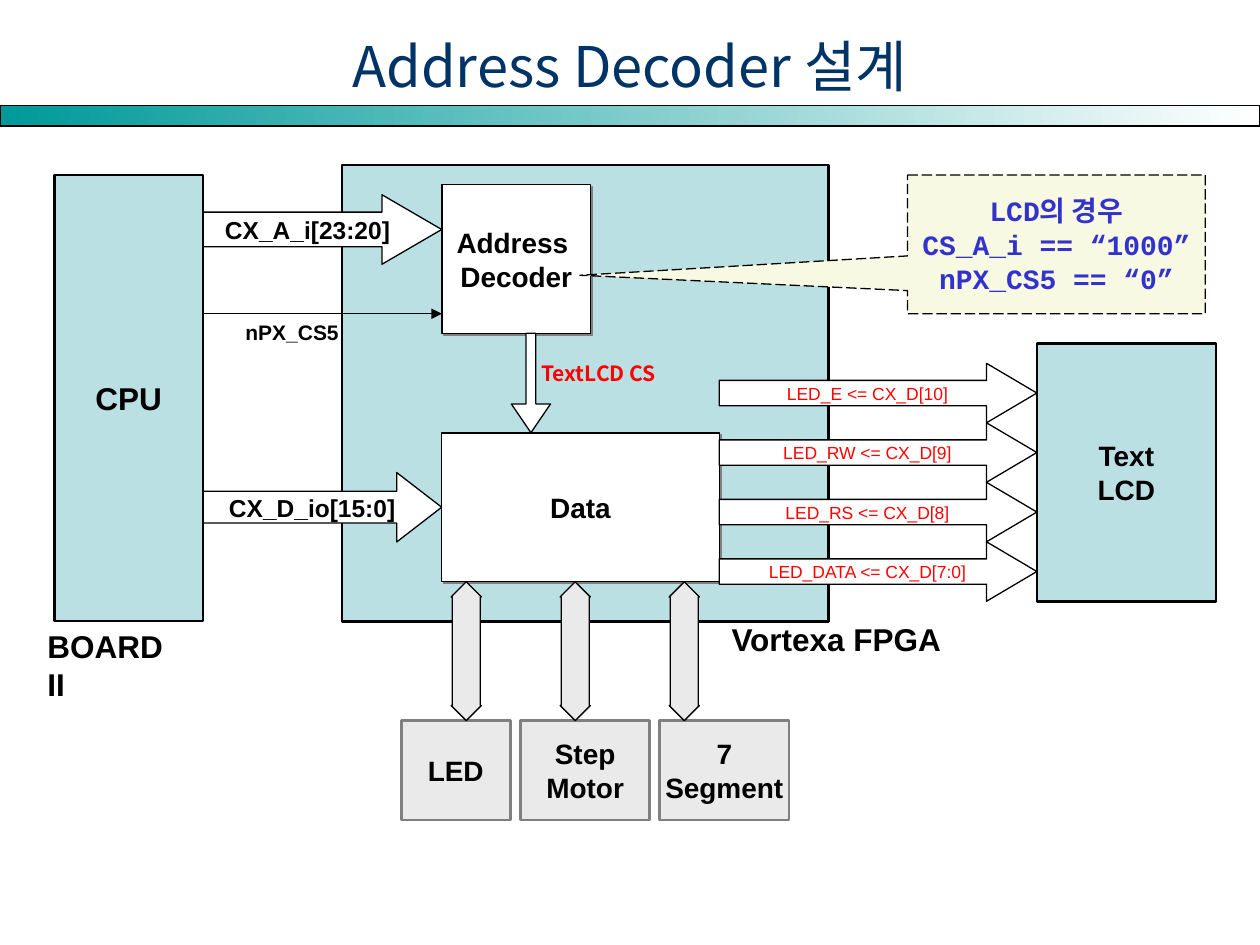
"""Build the address decoder block diagram slide."""
from lxml import etree
from pptx import Presentation
from pptx.dml.color import RGBColor
from pptx.enum.dml import MSO_LINE
from pptx.enum.shapes import MSO_CONNECTOR, MSO_SHAPE
from pptx.enum.text import MSO_ANCHOR, MSO_AUTO_SIZE, PP_ALIGN
from pptx.oxml import parse_xml
from pptx.oxml.ns import nsdecls, qn
from pptx.util import Pt

BLACK = RGBColor(0x00, 0x00, 0x00)
WHITE = RGBColor(0xFF, 0xFF, 0xFF)
TEAL = RGBColor(0x00, 0x99, 0x99)
NAVY = RGBColor(0x00, 0x33, 0x66)
PALE_BLUE = RGBColor(0xBB, 0xE0, 0xE3)
PALE_GRAY = RGBColor(0xEA, 0xEA, 0xEA)
GRAY = RGBColor(0x80, 0x80, 0x80)
CREAM = RGBColor(0xF7, 0xF9, 0xE3)
RED = RGBColor(0xFF, 0x00, 0x00)
INDIGO = RGBColor(0x33, 0x33, 0xCC)
KOREAN_FONT = "Noto Sans CJK KR"


def write_lines(shape, lines, size, color=BLACK, font="Arial", bold=True,
                align=PP_ALIGN.CENTER, wrap=False):
    frame = shape.text_frame
    frame.word_wrap = wrap
    for index, line in enumerate(lines):
        paragraph = frame.add_paragraph() if index else frame.paragraphs[0]
        paragraph.alignment = align
        run = paragraph.add_run()
        run.text = line
        run.font.size = Pt(size)
        run.font.name = font
        run.font.bold = bold
        run.font.color.rgb = color


def add_block(kind, box, fill, line=BLACK, weight=0.75, adjustments=()):
    shape = slide.shapes.add_shape(kind, *[Pt(value) for value in box])
    shape.shadow.inherit = False
    shape.fill.solid()
    shape.fill.fore_color.rgb = fill
    shape.line.color.rgb = line
    shape.line.width = Pt(weight)
    for index, value in enumerate(adjustments):
        shape.adjustments[index] = value
    shape.text_frame.vertical_anchor = MSO_ANCHOR.MIDDLE
    return shape


presentation = Presentation()
presentation.slide_width = Pt(720)
presentation.slide_height = Pt(540)
slide = presentation.slides.add_slide(presentation.slide_layouts[5])

title = slide.shapes.title
title.left, title.top, title.width, title.height = Pt(8.5), Pt(15), Pt(703), Pt(44)
title.text_frame.auto_size = MSO_AUTO_SIZE.NONE
title.text_frame.vertical_anchor = MSO_ANCHOR.MIDDLE
write_lines(title, ["Address Decoder 설계"], 32, NAVY, KOREAN_FONT, bold=False, wrap=True)

title_bar = add_block(MSO_SHAPE.RECTANGLE, (0, 60.5, 720, 11.5), TEAL)
title_bar.fill.gradient()
title_bar.fill.gradient_angle = 0
for stop, color in zip(title_bar.fill.gradient_stops, (TEAL, WHITE)):
    stop.color.rgb = color

for box, lines, size in (
    ((31, 100, 85, 255), ["CPU"], 18),
    ((195.5, 94.3, 278, 260.7), [], 18),
    ((592.5, 196.3, 102.3, 147.5), ["Text", "LCD"], 16),
):
    block = add_block(MSO_SHAPE.RECTANGLE, box, PALE_BLUE, weight=1.5)
    write_lines(block, lines, size)

for top, label, adjustments in (
    (270, "CX_D_io[15:0]", (0.457, 0.648)),
    (111.3, "CX_A_i[23:20]", (0.5, 0.859)),
):
    arrow = add_block(MSO_SHAPE.RIGHT_ARROW, (116.2, top, 136.2, 39.7), WHITE,
                      adjustments=adjustments)
    write_lines(arrow, [label], 14)

select_line = slide.shapes.add_connector(
    MSO_CONNECTOR.STRAIGHT, Pt(116.2), Pt(179.3), Pt(252.5), Pt(179.3))
select_line.line.color.rgb = BLACK
select_line.line.width = Pt(0.75)
etree.SubElement(select_line.line._get_or_add_ln(), qn("a:tailEnd"), type="triangle")
etree.SubElement(select_line._element.spPr, qn("a:effectLst"))

for box, lines in (
    ((252.5, 105.5, 85, 85), ["Address ", "Decoder"]),
    ((252.3, 247.5, 158.7, 85), ["Data"]),
):
    block = add_block(MSO_SHAPE.RECTANGLE, box, WHITE)
    block._element.spPr.find(qn("a:effectLst")).append(parse_xml(
        f'<a:outerShdw {nsdecls("a")} dist="17780" dir="2700000" algn="ctr" rotWithShape="0">'
        '<a:srgbClr val="808080"/></a:outerShdw>'))
    write_lines(block, lines, 16)

signals = ["LED_E <= CX_D[10]", "LED_RW <= CX_D[9]", "LED_RS <= CX_D[8]",
           "LED_DATA <= CX_D[7:0]"]
for row, signal in enumerate(signals):
    arrow = add_block(MSO_SHAPE.RIGHT_ARROW, (411, 207.6 + 34 * row, 181.5, 34), WHITE,
                      adjustments=(0.425, 0.846))
    write_lines(arrow, [signal], 10, RED, bold=False)

chip_select = add_block(MSO_SHAPE.RIGHT_ARROW, (275, 207.7, 56.8, 22.4), WHITE,
                        adjustments=(0.249, 0.734))
chip_select.rotation = 90

for left, width, lines in (
    (229.3, 62.3, ["LED"]),
    (297.5, 73.8, ["Step", "Motor"]),
    (377, 73.8, ["7", "Segment"]),
):
    block = add_block(MSO_SHAPE.RECTANGLE, (left, 411.8, width, 56.8), PALE_GRAY, GRAY, 1.5)
    write_lines(block, lines, 16)

for column in range(3):
    add_block(MSO_SHAPE.UP_DOWN_ARROW, (257.8 + 62.3 * column, 332.5, 17.3, 79.3),
              PALE_GRAY, adjustments=(0.5, 0.931))

callout = add_block(MSO_SHAPE.RECTANGULAR_CALLOUT, (518.6, 100, 170.2, 79.3), CREAM,
                    adjustments=(-1.6, 0.223))
callout.line.dash_style = MSO_LINE.LONG_DASH
write_lines(callout, ["LCD의 경우", "CS_A_i == “1000”", "nPX_CS5 == “0”"], 16, INDIGO,
            "Courier New", wrap=True)

for box, label, size, color, font in (
    ((302.4, 202.3, 82.8, 21.6), "TextLCD CS", 12, RED, KOREAN_FONT),
    ((133.2, 179.3, 67.7, 21.6), "nPX_CS5", 12, BLACK, "Arial"),
    ((411, 350.6, 139, 29), "Vortexa FPGA", 18, BLACK, "Arial"),
    ((20, 355, 94.3, 29), "BOARD II", 18, BLACK, "Arial"),
):
    label_box = slide.shapes.add_textbox(*[Pt(value) for value in box])
    write_lines(label_box, [label], size, color, font, align=PP_ALIGN.LEFT)

presentation.save("out.pptx")
